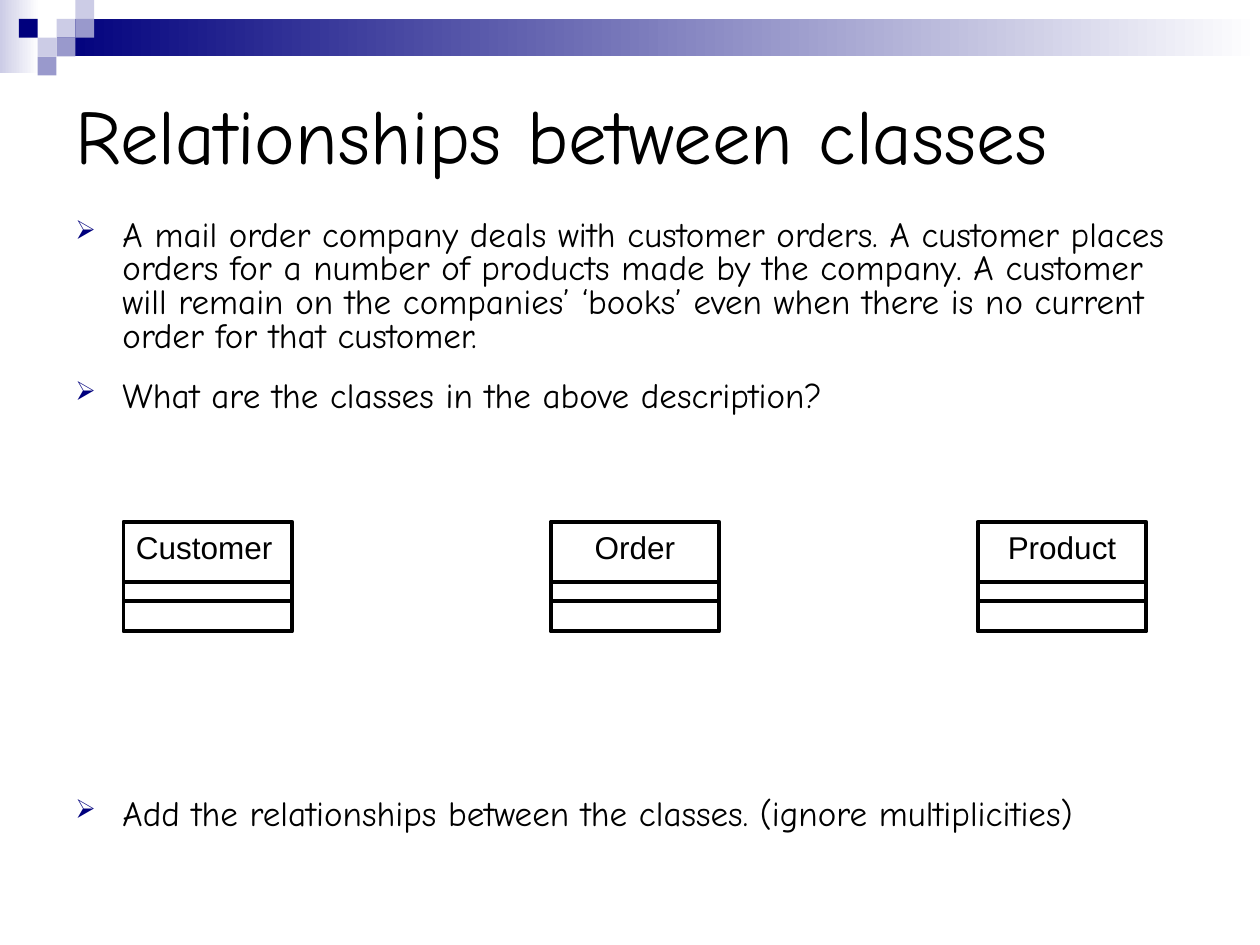
"""Build a slide on relationships between classes with three UML class boxes."""
from dataclasses import dataclass

from lxml.etree import SubElement
from pptx import Presentation
from pptx.dml.color import RGBColor
from pptx.enum.shapes import MSO_CONNECTOR, MSO_SHAPE
from pptx.enum.text import MSO_ANCHOR, PP_ALIGN
from pptx.oxml.ns import qn
from pptx.shapes.autoshape import Shape
from pptx.slide import Slide
from pptx.util import Cm, Pt


@dataclass(frozen=True)
class Theme:
    ink: RGBColor = RGBColor(0x00, 0x00, 0x00)
    paper: RGBColor = RGBColor(0xFF, 0xFF, 0xFF)
    navy: RGBColor = RGBColor(0x00, 0x00, 0x7D)
    lilac: RGBColor = RGBColor(0xCC, 0xCC, 0xE6)
    violet: RGBColor = RGBColor(0x99, 0x99, 0xCC)
    heading_font: str = "Comic Neue"
    label_font: str = "Arial"
    title_size: float = 44
    body_size: float = 20
    label_size: float = 18
    line_width: float = 2.25


@dataclass(frozen=True)
class Area:
    left: float
    top: float
    width: float
    height: float

    def lengths(self) -> tuple[Cm, Cm, Cm, Cm]:
        return Cm(self.left), Cm(self.top), Cm(self.width), Cm(self.height)


@dataclass(frozen=True)
class Tile:
    column: int
    row: int
    color: RGBColor


@dataclass(frozen=True)
class Bullet:
    text: str
    space_before: float


@dataclass(frozen=True)
class ClassBox:
    name: str
    align: PP_ALIGN


THEME = Theme()
PAGE = Area(0, 0, 25.4, 19.05)
TILE_SIZE = 0.38
TILES = (
    Tile(3, 1, THEME.lilac),
    Tile(4, 0, THEME.lilac),
    Tile(4, 1, THEME.violet),
    Tile(2, 2, THEME.lilac),
    Tile(1, 1, THEME.navy),
    Tile(3, 2, THEME.violet),
    Tile(2, 3, THEME.violet),
)
BULLETS = (
    Bullet(
        "A mail order company deals with customer orders. A customer places orders "
        "for a number of products made by the company. A customer will remain on the "
        "companies’ ‘books’ even when there is no current order for that customer.",
        5,
    ),
    Bullet("What are the classes in the above description?", 15),
    Bullet("Add the relationships between the classes. (ignore multiplicities)", 220),
)
CLASSES = (
    ClassBox("Customer", PP_ALIGN.LEFT),
    ClassBox("Order", PP_ALIGN.CENTER),
    ClassBox("Product", PP_ALIGN.CENTER),
)
FIRST_CLASS = Area(2.49, 10.52, 3.4, 2.21)
CLASS_PITCH = 8.61
DIVIDER_OFFSETS = (1.22, 1.6)
LABEL_HEIGHT = 1.02


def add_rectangle(page: Slide, area: Area) -> Shape:
    box = page.shapes.add_shape(MSO_SHAPE.RECTANGLE, *area.lengths())
    box.shadow.inherit = False
    box.line.fill.background()
    return box


def add_fade(page: Slide, area: Area, color: RGBColor) -> None:
    fill = add_rectangle(page, area).fill
    fill.gradient()
    fill.gradient_angle = 0
    for stop, shade in zip(fill.gradient_stops, (color, THEME.paper)):
        stop.color.rgb = shade


def add_tile(page: Slide, tile: Tile) -> None:
    area = Area(tile.column * TILE_SIZE, tile.row * TILE_SIZE, TILE_SIZE, TILE_SIZE)
    fill = add_rectangle(page, area).fill
    fill.solid()
    fill.fore_color.rgb = tile.color


def add_text_box(page: Slide, area: Area) -> Shape:
    box = page.shapes.add_textbox(*area.lengths())
    box.text_frame.word_wrap = True
    return box


def add_span(paragraph, text: str, font: str, size: float) -> None:
    span = paragraph.add_run()
    span.text = text
    span.font.name = font
    span.font.size = Pt(size)
    span.font.color.rgb = THEME.ink


def add_bullet_mark(paragraph) -> None:
    properties = paragraph._p.get_or_add_pPr()
    properties.set("marL", str(Cm(0.95)))
    properties.set("indent", str(-Cm(0.95)))
    color = SubElement(properties, qn("a:buClr"))
    SubElement(color, qn("a:srgbClr"), val=str(THEME.navy))
    SubElement(properties, qn("a:buSzPct"), val="75000")
    SubElement(properties, qn("a:buChar"), char="➢")


def add_title(page: Slide, text: str) -> None:
    frame = add_text_box(page, Area(1.27, 1.27, 22.86, 2.84)).text_frame
    frame.vertical_anchor = MSO_ANCHOR.MIDDLE
    add_span(frame.paragraphs[0], text, THEME.heading_font, THEME.title_size)


def add_bullets(page: Slide, bullets: tuple[Bullet, ...]) -> None:
    frame = add_text_box(page, Area(1.27, 4.32, 22.86, 13.41)).text_frame
    for index, bullet in enumerate(bullets):
        paragraph = frame.add_paragraph() if index else frame.paragraphs[0]
        paragraph.line_spacing = 0.8
        paragraph.space_before = Pt(bullet.space_before)
        add_bullet_mark(paragraph)
        add_span(paragraph, bullet.text, THEME.heading_font, THEME.body_size)


def add_divider(page: Slide, area: Area, offset: float) -> None:
    height = Cm(area.top + offset)
    divider = page.shapes.add_connector(
        MSO_CONNECTOR.STRAIGHT, Cm(area.left), height, Cm(area.left + area.width), height
    )
    divider.line.color.rgb = THEME.ink
    divider.line.width = Pt(THEME.line_width)
    SubElement(divider._element.spPr, qn("a:effectLst"))


def add_class(page: Slide, class_box: ClassBox, area: Area) -> None:
    label = add_text_box(page, Area(area.left, area.top, area.width, LABEL_HEIGHT))
    paragraph = label.text_frame.paragraphs[0]
    paragraph.alignment = class_box.align
    paragraph.space_before = Pt(11.2)
    add_span(paragraph, class_box.name, THEME.label_font, THEME.label_size)
    outline = add_rectangle(page, area)
    outline.fill.background()
    outline.line.color.rgb = THEME.ink
    outline.line.width = Pt(THEME.line_width)
    for offset in DIVIDER_OFFSETS:
        add_divider(page, area, offset)


def main() -> None:
    deck = Presentation()
    deck.slide_width, deck.slide_height = Cm(PAGE.width), Cm(PAGE.height)
    page = deck.slides.add_slide(deck.slide_layouts[6])
    add_fade(page, Area(0, 0, 0.79, 1.47), THEME.lilac)
    add_fade(page, Area(1.14, 0.38, 24.26, 0.76), THEME.navy)
    for tile in TILES:
        add_tile(page, tile)
    add_title(page, "Relationships between classes")
    add_bullets(page, BULLETS)
    for index, class_box in enumerate(CLASSES):
        left = FIRST_CLASS.left + index * CLASS_PITCH
        area = Area(left, FIRST_CLASS.top, FIRST_CLASS.width, FIRST_CLASS.height)
        add_class(page, class_box, area)
    deck.save("out.pptx")


if __name__ == "__main__":
    main()
